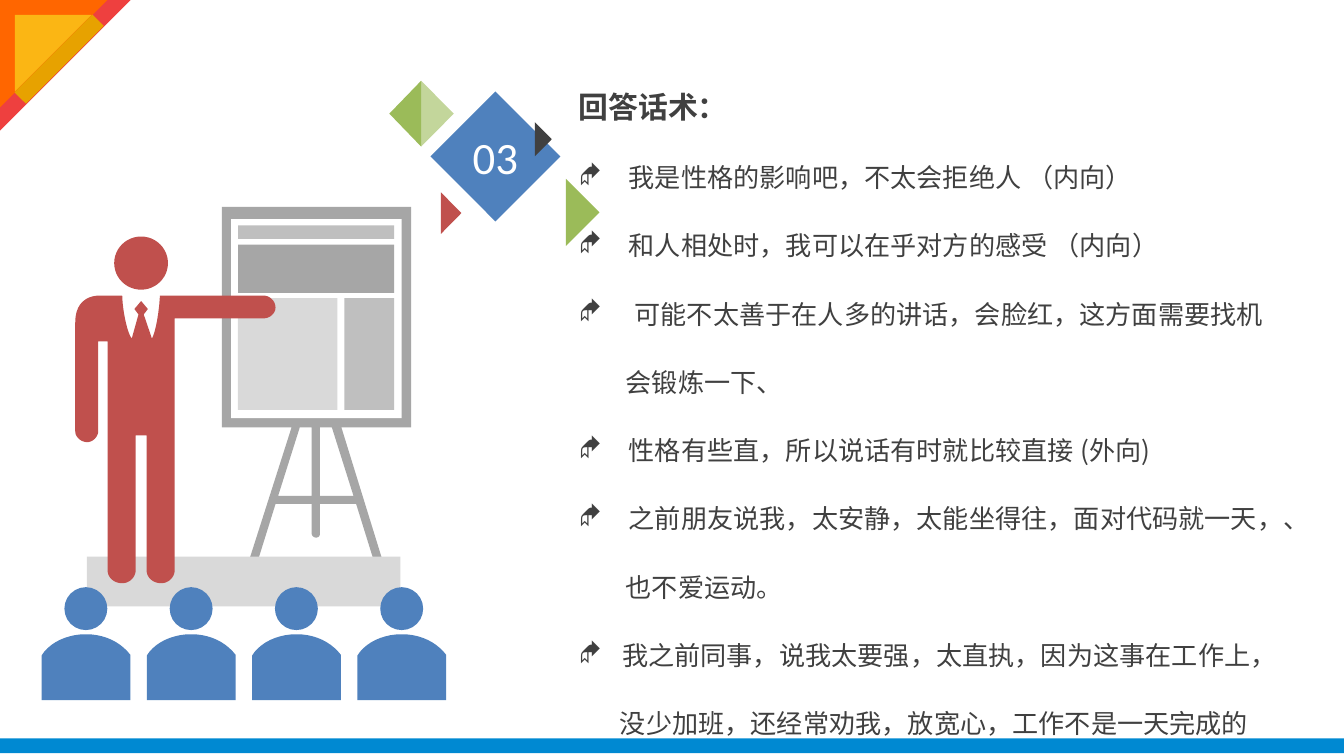
"""Build the answer-phrases slide with a presenter illustration."""
import pptx
import pptx.dml.color
import pptx.enum.shapes
import pptx.enum.text
import pptx.oxml.ns
import pptx.util
from lxml import etree

Pt = pptx.util.Pt
RGBColor = pptx.dml.color.RGBColor
SHAPE = pptx.enum.shapes.MSO_SHAPE

WHITE = RGBColor(0xFF, 0xFF, 0xFF)
DARK = RGBColor(0x40, 0x40, 0x40)
GRAY = RGBColor(0xA6, 0xA6, 0xA6)
SILVER = RGBColor(0xBF, 0xBF, 0xBF)
PALE = RGBColor(0xD9, 0xD9, 0xD9)
BLUE = RGBColor(0x4F, 0x81, 0xBD)
BAR_BLUE = RGBColor(0x00, 0x89, 0xD2)
BRICK = RGBColor(0xC0, 0x50, 0x4D)
GREEN = RGBColor(0x9B, 0xBB, 0x59)
LIGHT_GREEN = RGBColor(0xC3, 0xD6, 0x9B)
RED = RGBColor(0xEE, 0x40, 0x3F)
ORANGE = RGBColor(0xFF, 0x66, 0x00)
YELLOW = RGBColor(0xFB, 0xB6, 0x14)
GOLD = RGBColor(0xE7, 0xA2, 0x00)

TEXT_FONT = "Noto Sans CJK SC"
NUMBER_FONT = "Calibri"
BULLET_FONT = "Wingdings"
CURVE_STEPS = 10
GRID = 100

EASEL = [
    [(220.3, 110.9), (118.8, 110.9), (118.8, 229), (156.2, 229), (133.9, 298.8),
     (133.9, 300.2, 134.6, 301.7, 135.4, 301.7), (136.8, 302.4, 138.2, 301.7, 138.2, 300.2),
     (147.6, 270), (167, 270), (167, 285.8), (167, 287.3, 168.5, 288, 169.2, 288),
     (170.6, 288, 171.4, 287.3, 171.4, 285.8), (171.4, 270), (190.8, 270), (200.2, 300.2),
     (200.9, 301.7, 201.6, 302.4, 203, 301.7), (204.5, 301.7, 205.2, 300.2, 204.5, 298.8),
     (182.9, 229), (220.3, 229)],
    [(149, 265.7), (160.6, 229), (167, 229), (167, 265.7)],
    [(189.4, 265.7), (171.4, 265.7), (171.4, 229), (177.8, 229)],
]
PRESENTER = [
    [(141.1, 158.4), (85.7, 158.4), (84.5, 176.4, 81.4, 181.4, 81.4, 181.4), (77, 168.5),
     (79.2, 165.6), (75.6, 161.3), (72, 165.6), (74.2, 168.5), (70.6, 181.4),
     (67.7, 177.8, 65.5, 164.2, 65.5, 158.4), (53.3, 158.4),
     (46.8, 158.4, 40.3, 162, 40.3, 172.8), (40.3, 231.1),
     (40.3, 234, 43.2, 236.9, 46.8, 236.9), (49.7, 236.9, 52.6, 234, 52.6, 231.1),
     (52.6, 182.9), (57.6, 182.9), (57.6, 305.3),
     (57.6, 309.6, 61.2, 312.5, 65.5, 312.5), (69.1, 312.5, 72.7, 309.6, 72.7, 305.3),
     (72.7, 233.3), (78.5, 233.3), (78.5, 305.3),
     (78.5, 309.6, 82.1, 312.5, 86.4, 312.5), (90, 312.5, 93.6, 309.6, 93.6, 305.3),
     (93.6, 170.6), (141.1, 170.6), (144.7, 170.6, 147.6, 167.8, 147.6, 164.9),
     (147.6, 161.3, 144.7, 158.4, 141.1, 158.4)],
]
ANSWERS = [
    (True, 26.7, "我是性格的影响吧，不太会拒绝人 （内向）"),
    (True, 26.7, "和人相处时，我可以在乎对方的感受 （内向）"),
    (True, 29.8, "可能不太善于在人多的讲话，会脸红，这方面需要找机"),
    (False, 25.1, "会锻炼一下、"),
    (True, 26.7, "性格有些直，所以说话有时就比较直接 (外向)"),
    (True, 26.7, "之前朋友说我，太安静，太能坐得往，面对代码就一天，、"),
    (False, 25.1, "也不爱运动。"),
    (True, 23.1, "我之前同事，说我太要强，太直执，因为这事在工作上，"),
    (False, 21.9, "没少加班，还经常劝我，放宽心，工作不是一天完成的"),
]


def paint(shape, color):
    """Give a shape a flat fill without line or shadow."""
    shape.shadow.inherit = False
    shape.fill.solid()
    shape.fill.fore_color.rgb = color
    shape.line.fill.background()


def add_preset(shapes, kind, left, top, width, height, color, rotation=0):
    """Add a flat preset shape."""
    shape = shapes.add_shape(kind, Pt(left), Pt(top), Pt(width), Pt(height))
    shape.rotation = rotation
    paint(shape, color)
    return shape


def flatten(contour):
    """Turn a contour of points and cubic curves into points on a fine grid."""
    points = []
    for step in contour:
        if len(step) == 2:
            points.append(step)
            continue
        corners = [points[-1], step[:2], step[2:4], step[4:]]
        for index in range(1, CURVE_STEPS + 1):
            t = index / CURVE_STEPS
            weights = ((1 - t) ** 3, 3 * t * (1 - t) ** 2, 3 * t * t * (1 - t), t ** 3)
            points.append(tuple(sum(w * c[axis] for w, c in zip(weights, corners))
                                for axis in (0, 1)))
    return [(x * GRID, y * GRID) for x, y in points]


def add_outline(shapes, contours, color):
    """Add a flat freeform made of one or more closed contours."""
    builder = None
    for contour in contours:
        first, *rest = flatten(contour)
        if builder is None:
            builder = shapes.build_freeform(*first, scale=Pt(1) / GRID)
        else:
            builder.move_to(*first)
        builder.add_line_segments(rest, close=True)
    paint(builder.convert_to_shape(), color)


def add_run(para, text, size, color, font, bold=False):
    """Add one formatted run to a paragraph."""
    span = para.add_run()
    span.text = text
    span.font.size = Pt(size)
    span.font.bold = bold
    span.font.color.rgb = color
    span.font.name = font
    east = etree.SubElement(span.font._element, pptx.oxml.ns.qn("a:ea"))
    east.set("typeface", font)


def add_frame(shapes):
    """Add the bottom bar and the corner ornament."""
    add_preset(shapes, SHAPE.RECTANGLE, 0, 395.6, 720, 8, BAR_BLUE)
    for start, size, color in ((0, 70, RED), (0, 57.6, ORANGE), (8, 41, YELLOW)):
        add_preset(shapes, SHAPE.RIGHT_TRIANGLE, start, start, size, size, color, 90)
    add_preset(shapes, SHAPE.RECTANGLE, 27.4, 2.2, 8.6, 59, GOLD, 45)


def add_illustration(shapes):
    """Add the easel, the presenter and the audience."""
    add_outline(shapes, EASEL, GRAY)
    for left, top, width, height, color in (
            (123.8, 117.4, 91.4, 106.6, WHITE), (127.5, 120.8, 83.7, 7.2, SILVER),
            (127.5, 131, 83.7, 26, GRAY), (127.5, 159.8, 53.3, 59.8, PALE),
            (184.5, 159.8, 26.7, 59.8, SILVER), (46.6, 298.3, 167.9, 26.6, PALE)):
        add_preset(shapes, SHAPE.RECTANGLE, left, top, width, height, color)
    add_preset(shapes, SHAPE.OVAL, 61.2, 126.7, 28.8, 28.5, BRICK)
    add_outline(shapes, PRESENTER, BRICK)
    for seat in range(4):
        add_listener(shapes, 22.3 + 56.4 * seat)


def add_listener(shapes, left):
    """Add one member of the audience."""
    add_preset(shapes, SHAPE.OVAL, left + 12.2, 314.6, 23, 23, BLUE)
    right, middle = left + 47.5, left + 23.7
    add_outline(shapes, [[
        (middle, 339.8), (left + 13.7, 339.8, left + 4.3, 344.2, left, 351.2),
        (left, 375.1), (right, 375.1), (right, 350.8),
        (right - 5, 344.2, right - 13.5, 339.8, middle, 339.8)]], BLUE)


def add_number(shapes):
    """Add the numbered diamond and the triangles around it."""
    diamond = add_preset(shapes, SHAPE.DIAMOND, 230.6, 49, 69.6, 69.6, BLUE)
    frame = diamond.text_frame
    frame.margin_left = frame.margin_right = frame.margin_top = frame.margin_bottom = 0
    frame.vertical_anchor = pptx.enum.text.MSO_ANCHOR.MIDDLE
    para = frame.paragraphs[0]
    para.alignment = pptx.enum.text.PP_ALIGN.CENTER
    add_run(para, "03", 24, WHITE, NUMBER_FONT)
    for left, top, reach, height, color in (
            (236.2, 103, 11, 22.3, BRICK), (286.6, 65.5, 9, 18.2, DARK),
            (225.6, 43.3, 17.5, 35.2, LIGHT_GREEN), (303.1, 95.8, 18, 36, GREEN),
            (225.6, 43.3, -17, 35.2, GREEN)):
        add_outline(shapes, [[(left, top), (left + reach, top + height / 2),
                              (left, top + height)]], color)


def add_bullet(properties):
    """Give a paragraph its diamond bullet."""
    font = etree.SubElement(properties, pptx.oxml.ns.qn("a:buFont"))
    font.set("typeface", BULLET_FONT)
    bullet = etree.SubElement(properties, pptx.oxml.ns.qn("a:buChar"))
    bullet.set("char", "◆")


def add_answers(shapes):
    """Add the heading and the list of answers."""
    box = shapes.add_textbox(Pt(303.1), Pt(25.2), Pt(465.8), Pt(378.7))
    frame = box.text_frame
    frame.word_wrap = True
    heading = frame.paragraphs[0]
    heading.line_spacing = Pt(37.9)
    add_run(heading, "回答话术：", 16, DARK, TEXT_FONT, True)
    for bulleted, indent, text in ANSWERS:
        para = frame.add_paragraph()
        para.line_spacing = Pt(33.6)
        para.space_before = Pt(3)
        properties = para._p.get_or_add_pPr()
        properties.set("marL", str(Pt(indent)))
        properties.set("indent", str(-Pt(indent) if bulleted else 0))
        if bulleted:
            add_bullet(properties)
        add_run(para, text, 14, DARK, TEXT_FONT)


def main():
    """Build and save the deck."""
    deck = pptx.Presentation()
    deck.slide_width, deck.slide_height = Pt(720), Pt(405)
    page = deck.slides.add_slide(deck.slide_layouts[6])
    add_frame(page.shapes)
    add_illustration(page.shapes.add_group_shape().shapes)
    add_number(page.shapes)
    add_answers(page.shapes)
    deck.save("out.pptx")


if __name__ == "__main__":
    main()
